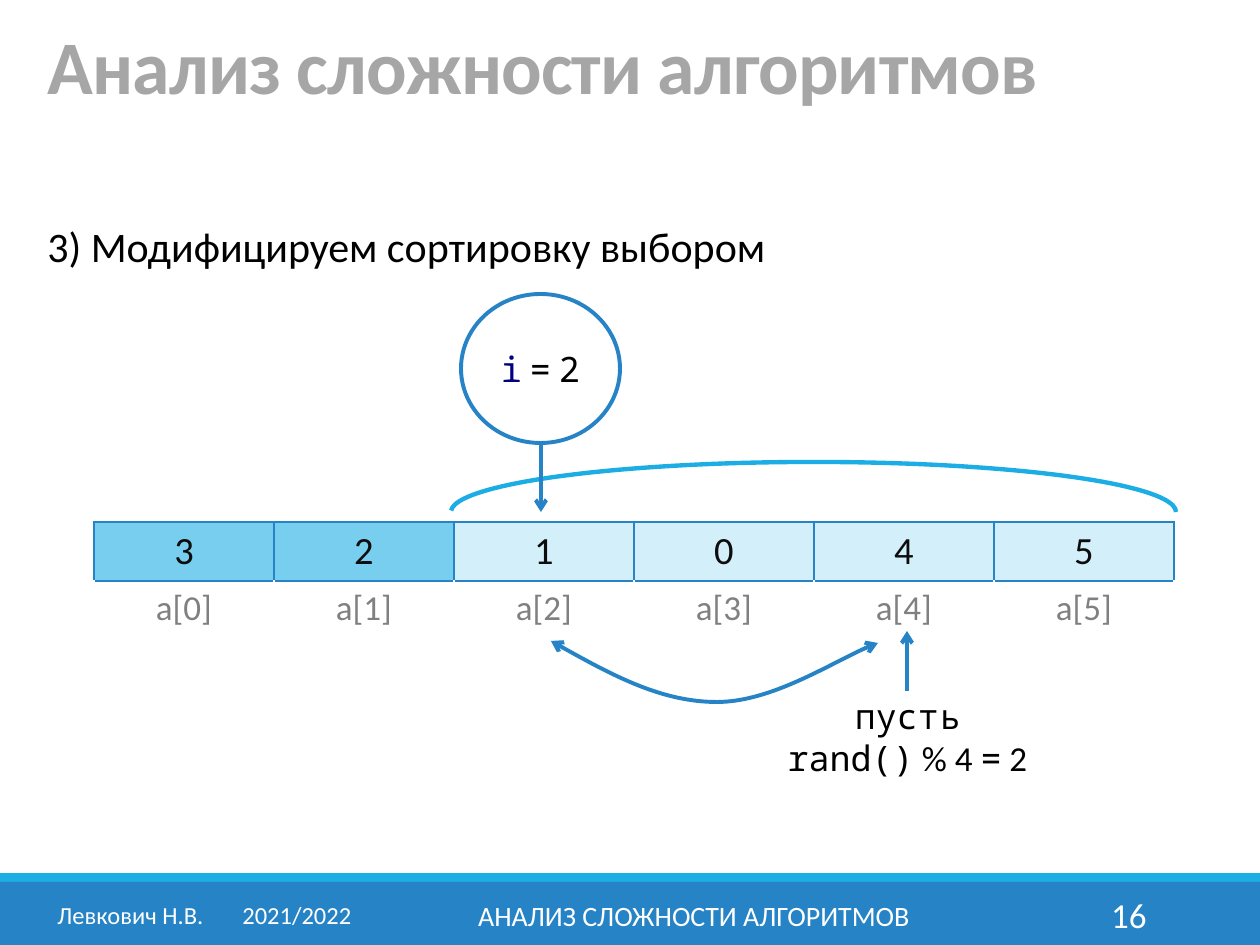
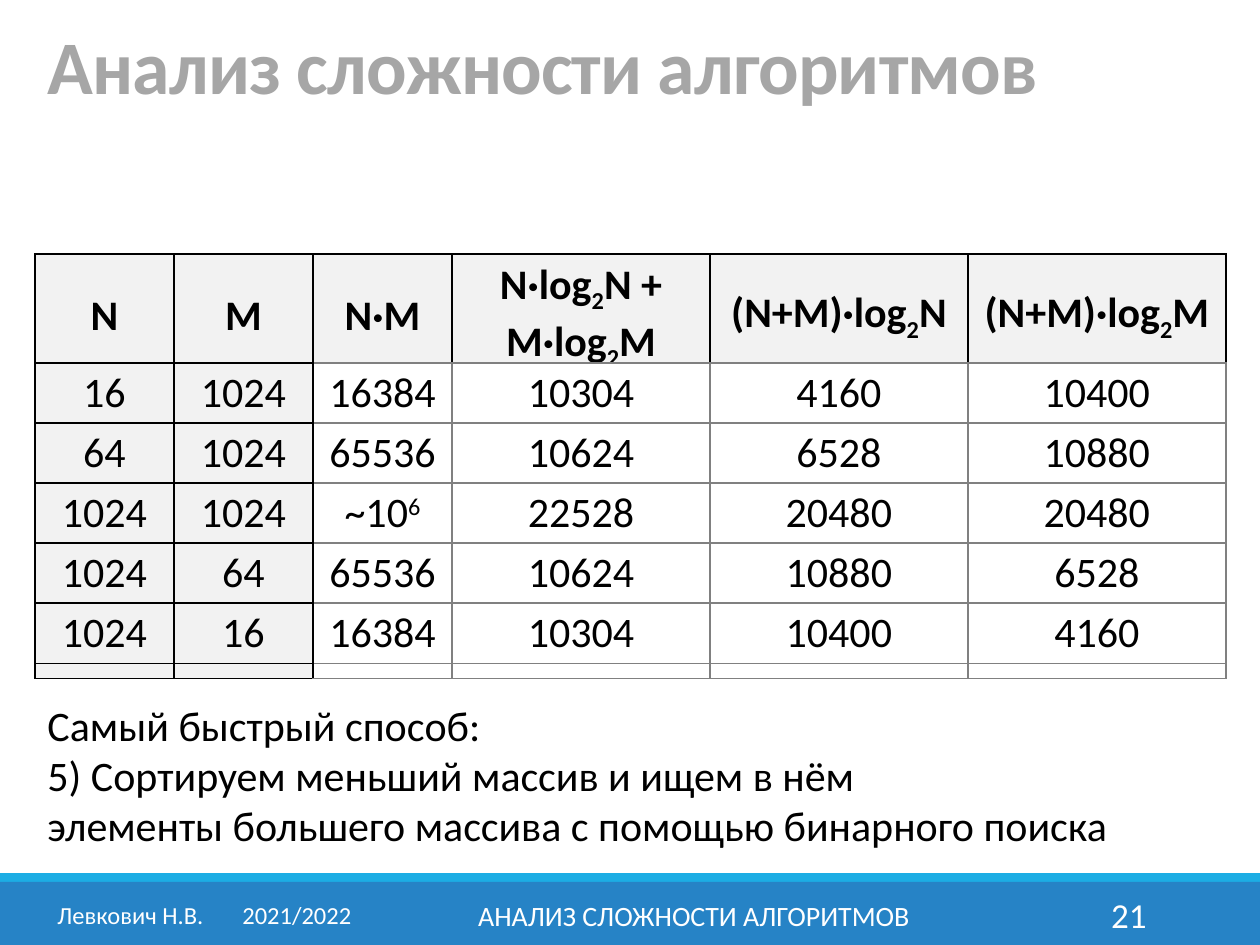
from dataclasses import dataclass

from lxml import etree
from pptx import Presentation
from pptx.dml.color import RGBColor
from pptx.enum import shapes, text
from pptx.oxml import ns
from pptx.util import Emu, Pt


@dataclass(frozen=True)
class Theme:
    sans: str = "Calibri"
    mono: str = "Noto Sans Mono"
    blue: str = "2683C6"
    cyan: str = "1CADE4"
    done: str = "77CEEF"
    rest: str = "D2EFFA"
    white: str = "FFFFFF"
    black: str = "000000"
    ink: str = "0D0D0D"
    navy: str = "000080"
    grey: str = "808080"
    head: str = "F2F2F2"
    title: str = "A6A6A6"
    title_size: float = 43.2
    body_size: int = 24
    value_size: int = 22
    label_size: int = 20
    footer_size: int = 16
    small_size: int = 14


T = Theme()
MONO = {"font": T.mono}
SUB2 = ("2", {"base": -25})
CENTER, RIGHT = text.PP_ALIGN.CENTER, text.PP_ALIGN.RIGHT
TOP, MIDDLE = text.MSO_ANCHOR.TOP, text.MSO_ANCHOR.MIDDLE

# Content: a text is a string or a list of runs, a run is a string or (string, format)
TITLE = "Анализ сложности алгоритмов"
FOOTER = "АНАЛИЗ СЛОЖНОСТИ АЛГОРИТМОВ"
AUTHOR = "Левкович Н.В.\t2021/2022"
STEP = "3) Модифицируем сортировку выбором"
ARRAY = ["3", "2", "1", "0", "4", "5"]
SORTED_COUNT = 2
INDEX = [("i", {"font": T.mono, "color": T.navy}), " ", ("=", MONO), " ", ("2", MONO)]
RANDOM = [("пусть", MONO), "\n", ("rand()", MONO), " % 4 ", ("=", MONO), " 2"]
SWAP_CURVE = [(551, 641), (606, 672), (662, 702), (717, 702),
              (771, 702), (844, 655), (878, 643)]

COST_HEAD = ["N", "M", "N·M",
             ["N·log", SUB2, "N + M·log", SUB2, "M"],
             ["(N+M)·log", SUB2, "N"],
             ["(N+M)·log", SUB2, "M"]]
COSTS = [
    ["16", "1024", "16384", "10304", "4160", "10400"],
    ["64", "1024", "65536", "10624", "6528", "10880"],
    ["1024", "1024", ["~10", ("6", {"base": 30})], "22528", "20480", "20480"],
    ["1024", "64", "65536", "10624", "10880", "6528"],
    ["1024", "16", "16384", "10304", "10400", "4160"],
]
COST_WIDTHS = [139] * 3 + [258] * 3
CONCLUSION = ["Самый быстрый способ:",
              ["5) Сортируем меньший массив и ищем в нём", "\n",
               "элементы большего массива с помощью бинарного поиска"]]


def px(n):
    return Emu(round(n * 914400 / 126))


def box(*lengths):
    return [px(n) for n in lengths]


def rgb(color):
    return RGBColor.from_string(color)


# Text
def write(p, content, size, color=T.black, bold=False, align=None):
    p.alignment = align
    for item in [content] if isinstance(content, str) else content:
        if item == "\n":
            p.add_line_break()
            continue
        words, fmt = (item, {}) if isinstance(item, str) else item
        r = p.add_run()
        r.text = words
        r.font.name = fmt.get("font", T.sans)
        r.font.size, r.font.bold = Pt(size), bold
        r.font.color.rgb = rgb(fmt.get("color", color))
        if "base" in fmt:
            r.font._element.set("baseline", str(fmt["base"] * 1000))


def add_text(sl, at, paragraphs, size, color=T.black, align=None, anchor=TOP):
    tf = sl.shapes.add_textbox(*box(*at)).text_frame
    tf.word_wrap, tf.vertical_anchor = True, anchor
    for i, content in enumerate(paragraphs):
        p = tf.add_paragraph() if i else tf.paragraphs[0]
        write(p, content, size, color, align=align)
    return tf


# Shapes and lines
def add_shape(sl, kind, at, fill=None, line=None, width=2.25):
    sp = sl.shapes.add_shape(kind, *box(*at))
    style(sp, fill, line, width)
    return sp


def style(sp, fill=None, line=None, width=2.25):
    sp.shadow.inherit = False
    if fill:
        sp.fill.solid()
        sp.fill.fore_color.rgb = rgb(fill)
    else:
        sp.fill.background()
    if line:
        sp.line.color.rgb, sp.line.width = rgb(line), Pt(width)
    else:
        sp.line.fill.background()


def arrowheads(line, *ends):
    ln = line._get_or_add_ln()
    for end in ends:
        etree.SubElement(ln, ns.qn(f"a:{end}"), type="arrow")


def add_arrow(sl, x, y1, y2):
    c = sl.shapes.add_connector(shapes.MSO_CONNECTOR.STRAIGHT, *box(x, y1, x, y2))
    c.line.color.rgb, c.line.width = rgb(T.blue), Pt(2.25)
    arrowheads(c.line, "tailEnd")
    etree.SubElement(c._element.spPr, ns.qn("a:effectLst"))


def add_curve(sl, points):
    fb = sl.shapes.build_freeform(*box(*points[0]), scale=1.0)
    fb.add_line_segments([box(*pt) for pt in points[1:]], close=False)
    sp = fb.convert_to_shape()
    style(sp, line=T.blue)
    # Every three points become one cubic segment
    steps = sp._element.xpath(".//a:lnTo")
    for i in range(0, len(steps), 3):
        curve = etree.Element(ns.qn("a:cubicBezTo"))
        steps[i].addprevious(curve)
        for step in steps[i:i + 3]:
            curve.append(step[0])
            step.getparent().remove(step)
    arrowheads(sp.line, "headEnd", "tailEnd")


# Tables
def set_borders(cell, borders):
    tc_pr = cell._tc.get_or_add_tcPr()
    for i, side in enumerate("LRTB"):
        color, width = borders[side]
        ln = etree.Element(ns.qn(f"a:ln{side}"), w=str(Pt(width)))
        fill = etree.SubElement(ln, ns.qn("a:solidFill"))
        etree.SubElement(fill, ns.qn("a:srgbClr"), val=color)
        tc_pr.insert(i, ln)


def add_table(sl, at, widths, heights, rows, look, margin):
    """look(row, column) gives fill, borders, anchor and text format of a cell."""
    size = (sum(widths), sum(heights))
    tbl = sl.shapes.add_table(len(rows), len(widths), *box(*at, *size)).table
    tbl.first_row = tbl.horz_banding = False
    for col, width in zip(tbl.columns, widths):
        col.width = px(width)
    for r, (height, row) in enumerate(zip(heights, rows)):
        tbl.rows[r].height = px(height)
        for c, content in enumerate(row):
            fill, borders, anchor, fmt = look(r, c)
            cell = tbl.cell(r, c)
            cell.fill.solid()
            cell.fill.fore_color.rgb = rgb(fill)
            cell.margin_top = cell.margin_bottom = px(margin)
            cell.vertical_anchor = anchor
            set_borders(cell, borders)
            if content:
                write(cell.text_frame.paragraphs[0], content, align=CENTER, **fmt)


def array_look(r, c):
    blue = (T.blue, 1.5)
    if r == 0:
        fill = T.done if c < SORTED_COUNT else T.rest
        return fill, dict.fromkeys("LRTB", blue), TOP, {"size": T.value_size, "color": T.ink}
    borders = {**dict.fromkeys("LRB", (T.white, 1)), "T": blue}
    return T.white, borders, MIDDLE, {"size": T.label_size, "color": T.grey}


def cost_look(r, c, header=True):
    is_head = header and r == 0
    shaded = is_head or c < 2
    borders = dict.fromkeys("LRTB", (T.black if shaded else T.grey, 1))
    if c == 2:
        borders["L"] = (T.black, 1)
    return T.head if shaded else T.white, borders, MIDDLE, {"size": T.body_size, "bold": is_head}


def cost_row_look(r, c):
    return cost_look(r, c, header=False)


# Shared slide frame
def add_bands(prs, sl):
    """Draw the bottom bands and move them to the slide master."""
    for at, color in [((0, 882, 1260, 63), T.blue), ((0, 873, 1260, 9), T.cyan)]:
        band = add_shape(sl, shapes.MSO_SHAPE.RECTANGLE, at, fill=color)
        prs.slide_master.shapes._spTree.insert(2, band._element)


def add_slide(prs, number):
    sl = prs.slides.add_slide(prs.slide_layouts[5])
    title = sl.shapes.title
    title.left, title.top, title.width, title.height = box(35, 0, 1040, 116)
    tf = title.text_frame
    tf.auto_size = text.MSO_AUTO_SIZE.NONE
    tf.vertical_anchor = text.MSO_ANCHOR.BOTTOM
    p = tf.paragraphs[0]
    write(p, TITLE, T.title_size, T.title, bold=True, align=text.PP_ALIGN.LEFT)
    p.line_spacing = 0.85
    p.runs[0].font._element.set("spc", "-50")

    def footer(x, width, words, size, align):
        return add_text(sl, (x, 890, width, 50), [words], size, T.white, align, MIDDLE)

    footer(381, 626, FOOTER, T.footer_size, CENTER)
    footer(1023, 136, number, T.label_size, RIGHT)
    author = footer(40, 329, AUTHOR, T.small_size, CENTER)
    tabs = etree.SubElement(author.paragraphs[0]._p.get_or_add_pPr(), ns.qn("a:tabLst"))
    etree.SubElement(tabs, ns.qn("a:tab"), pos=str(px(185)), algn="l")
    return sl


def build_array_slide(sl):
    add_text(sl, (35, 214, 833, 63), [STEP], T.body_size)
    labels = [f"a[{i}]" for i in range(len(ARRAY))]
    add_table(sl, (94, 522), [180] * len(ARRAY), [59, 54], [ARRAY, labels], array_look, 6)

    # Swap and random choice
    add_curve(sl, SWAP_CURVE)
    add_arrow(sl, 907, 691, 631)
    tf = add_text(sl, (769, 662, 277, 149), [RANDOM], T.label_size, align=CENTER, anchor=MIDDLE)
    tf.margin_left = tf.margin_right = tf.margin_top = tf.margin_bottom = 0

    # Unsorted part and current index
    arc = add_shape(sl, shapes.MSO_SHAPE.ARC, (451, 462, 725, 100), line=T.cyan, width=2.5)
    arc.adjustments[0], arc.adjustments[1] = 108.13, 0
    add_arrow(sl, 541, 442, 512)
    index = add_shape(sl, shapes.MSO_SHAPE.OVAL, (461, 294, 159, 149), line=T.blue)
    index.text_frame.vertical_anchor = MIDDLE
    write(index.text_frame.paragraphs[0], INDEX, T.label_size, align=CENTER)


def build_cost_slide(sl):
    left, row_height = 35, 60
    blank_rows = [[""] * len(COST_HEAD) for _ in COSTS]
    add_table(sl, (left, 254), COST_WIDTHS, [124] + [row_height] * len(COSTS),
              [COST_HEAD] + blank_rows, cost_look, 5)
    for i, row in enumerate(COSTS):
        add_table(sl, (left, 363 + i * row_height), COST_WIDTHS, [row_height],
                  [row], cost_row_look, 5)
    add_text(sl, (left, 693, 1191, 165), CONCLUSION, T.body_size)


def main():
    prs = Presentation()
    prs.slide_width, prs.slide_height = box(1260, 945)
    array_slide = add_slide(prs, "16")
    add_bands(prs, array_slide)
    build_array_slide(array_slide)
    build_cost_slide(add_slide(prs, "21"))
    prs.save("out.pptx")


if __name__ == "__main__":
    main()
